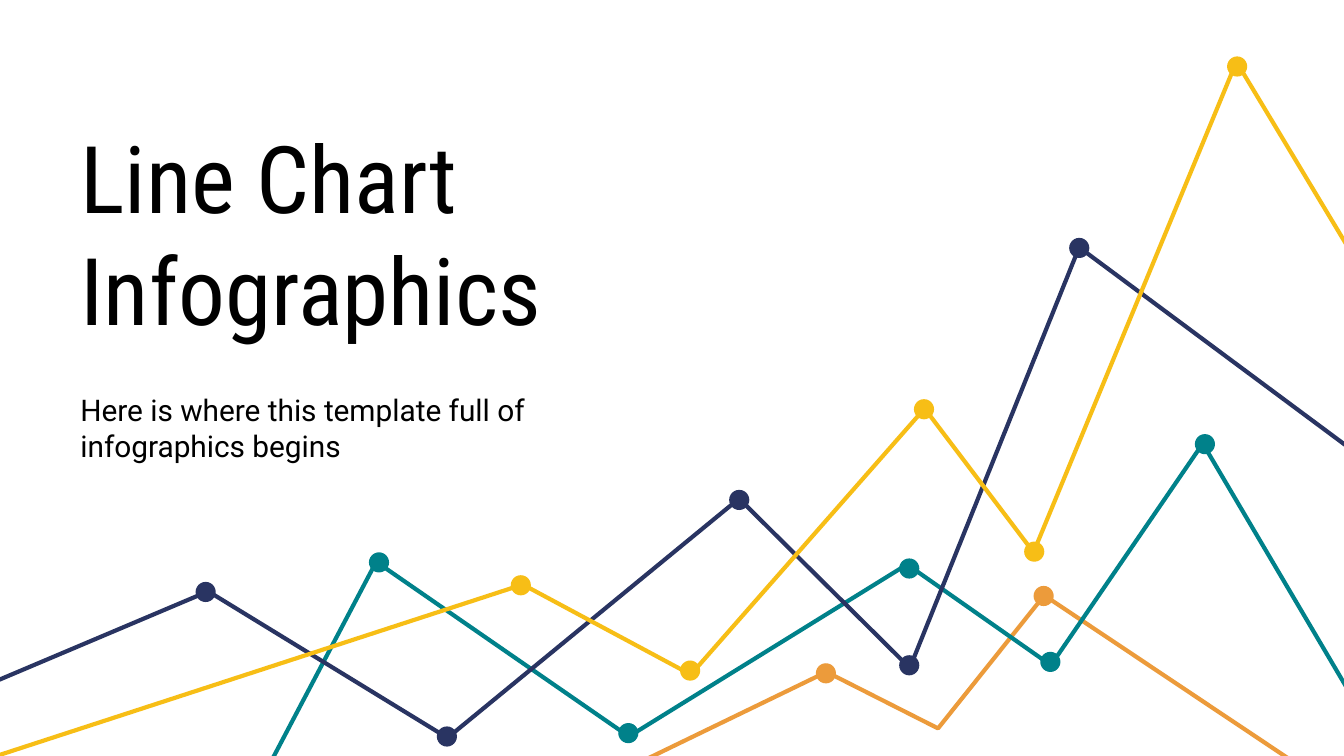
from dataclasses import dataclass

from pptx import Presentation
from pptx.dml.color import RGBColor
from pptx.enum.shapes import MSO_SHAPE
from pptx.enum.text import MSO_ANCHOR, MSO_AUTO_SIZE, PP_ALIGN
from pptx.util import Emu, Pt

OVAL = MSO_SHAPE.OVAL
TOP, BOTTOM = MSO_ANCHOR.TOP, MSO_ANCHOR.BOTTOM
NO_AUTOFIT = MSO_AUTO_SIZE.NONE
LEFT = PP_ALIGN.LEFT

PX = 4572
DOT = 30
COLORS = {
    "text": "000000",
    "orange": "EC9B3B",
    "teal": "00818A",
    "navy": "293462",
    "yellow": "F7BE16",
}


@dataclass(frozen=True)
class Series:
    color: str
    points: list[tuple[int, int]]
    dots: list[tuple[int, int]]


SERIES = [
    Series(
        "orange",
        [(1976, 1168), (1554, 886), (1396, 1084), (1230, 1000), (912, 1154)],
        [(1214, 987), (1538, 872)],
    ),
    Series(
        "teal",
        [(2034, 1074), (1790, 660), (1564, 990), (1350, 840), (936, 1096), (560, 836), (402, 1136)],
        [(549, 822), (920, 1076), (1338, 831), (1548, 970), (1778, 646)],
    ),
    Series(
        "navy",
        [(2026, 680), (1606, 368), (1354, 994), (1100, 742), (666, 1098), (310, 880), (-40, 1028)],
        [(291, 866), (1085, 729), (650, 1081), (1338, 975), (1591, 354)],
    ),
    Series(
        "yellow",
        [(2036, 418), (1840, 92), (1538, 822), (1376, 608), (1028, 1004), (778, 870), (-8, 1126)],
        [(760, 856), (1012, 983), (1360, 594), (1524, 806), (1826, 84)],
    ),
]


def px(n: int) -> Emu:
    return Emu(n * PX)


def rgb(name: str) -> RGBColor:
    return RGBColor.from_string(COLORS[name])


def write_text(sp, text: str, size: int, font: str, anchor) -> None:
    tf = sp.text_frame
    tf.text = text
    tf.word_wrap = True
    tf.auto_size = NO_AUTOFIT
    tf.vertical_anchor = anchor
    tf.margin_left = tf.margin_right = tf.margin_top = tf.margin_bottom = px(20)
    p = tf.paragraphs[0]
    p.alignment = LEFT
    r = p.runs[0]
    r.font.size = Pt(size)
    r.font.name = font
    r.font.color.rgb = rgb("text")


def draw_series(slide, series: Series) -> None:
    shapes = slide.shapes.add_group_shape().shapes
    builder = shapes.build_freeform(*series.points[0], scale=PX)
    builder.add_line_segments(series.points[1:], close=False)
    line = builder.convert_to_shape()
    line.shadow.inherit = False
    line.fill.background()
    line.line.color.rgb = rgb(series.color)
    line.line.width = Pt(2.25)
    for x, y in series.dots:
        dot = shapes.add_shape(OVAL, px(x), px(y), px(DOT), px(DOT))
        dot.shadow.inherit = False
        dot.fill.solid()
        dot.fill.fore_color.rgb = rgb(series.color)
        dot.line.fill.background()


def main() -> None:
    prs = Presentation()
    prs.slide_width, prs.slide_height = px(2000), px(1125)
    slide = prs.slides.add_slide(prs.slide_layouts[5])

    title = slide.shapes.title
    title.left, title.top, title.width, title.height = px(100), px(84), px(900), px(448)
    write_text(title, "Line Chart Infographics", 50, "Roboto Condensed", BOTTOM)

    subtitle = slide.shapes.add_textbox(px(100), px(563), px(900), px(174))
    write_text(subtitle, "Here is where this template full of infographics begins", 16, "Roboto", TOP)

    for series in SERIES:
        draw_series(slide, series)

    prs.save("out.pptx")


if __name__ == "__main__":
    main()
